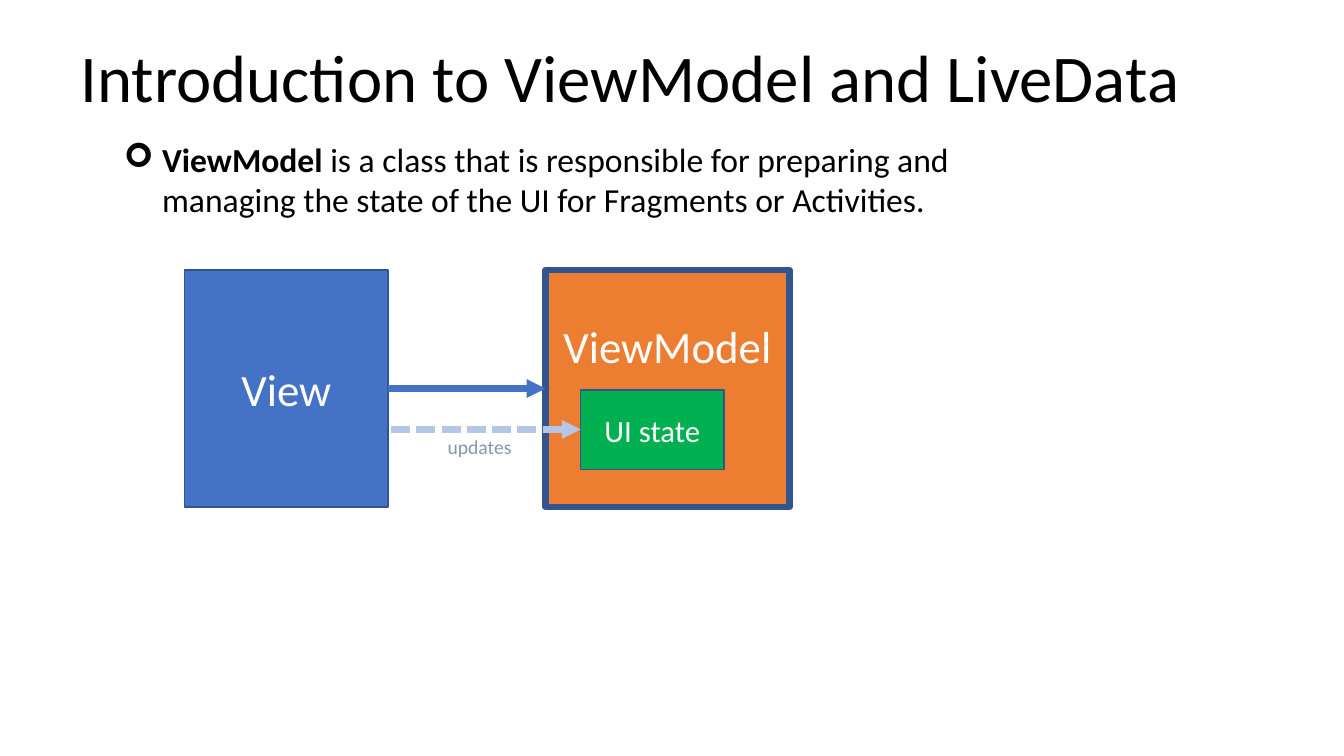
from lxml.etree import SubElement
from pptx import Presentation
from pptx.dml.color import RGBColor
from pptx.enum.dml import MSO_LINE
from pptx.enum.shapes import MSO_CONNECTOR, MSO_SHAPE
from pptx.enum.text import MSO_ANCHOR, PP_ALIGN
from pptx.oxml.ns import qn
from pptx.util import Inches, Pt


def rgb(value):
    return RGBColor.from_string(value)


def add_run(p, text, size, color, bold=False):
    r = p.add_run()
    r.text = text
    for name, value in {"name": "Calibri", "size": Pt(size), "bold": bold}.items():
        setattr(r.font, name, value)
    r.font.color.rgb = rgb(color)


def add_text(s, x, y, w, h, runs, **frame):
    sp = s.shapes.add_textbox(Inches(x), Inches(y), Inches(w), Inches(h))
    for name, value in {"word_wrap": True, **frame}.items():
        setattr(sp.text_frame, name, value)
    p = sp.text_frame.paragraphs[0]
    for run in runs:
        add_run(p, *run)
    return p


def add_box(s, x, y, w, h, text, size, fill, line_width=1, **frame):
    sp = s.shapes.add_shape(MSO_SHAPE.RECTANGLE, Inches(x), Inches(y), Inches(w), Inches(h))
    sp.shadow.inherit = False
    sp.fill.solid()
    sp.fill.fore_color.rgb = rgb(fill)
    sp.line.color.rgb = rgb("325491")
    sp.line.width = Pt(line_width)
    tf = sp.text_frame
    for name, value in {"word_wrap": True, "vertical_anchor": MSO_ANCHOR.MIDDLE, **frame}.items():
        setattr(tf, name, value)
    p = tf.paragraphs[0]
    p.alignment = PP_ALIGN.CENTER
    add_run(p, text, size, "FFFFFF")


def add_arrow(s, x1, x2, y, color, dash=None):
    line = s.shapes.add_connector(MSO_CONNECTOR.STRAIGHT, Inches(x1), Inches(y), Inches(x2), Inches(y))
    line.line.color.rgb = rgb(color)
    line.line.width = Pt(4.5)
    if dash:
        line.line.dash_style = dash
    SubElement(line.line._get_or_add_ln(), qn("a:tailEnd"), type="triangle")
    SubElement(line._element.spPr, qn("a:effectLst"))


def add_title(s, x, y, w, h):
    p = add_text(s, x, y, w, h, [("Introduction to ViewModel and LiveData", 47.7, "000000")],
                 vertical_anchor=MSO_ANCHOR.BOTTOM)
    p.line_spacing = 0.9


def add_definition(s, x, y, w, h):
    p = add_text(s, x, y, w, h, [
        ("ViewModel", 24, "000000", True),
        (" is a class that is responsible for preparing and managing "
         "the state of the UI for Fragments or Activities.", 24, "000000"),
    ])
    # Hanging arrow bullet
    pPr = p._p.get_or_add_pPr()
    pPr.set("marL", str(Inches(0.38)))
    pPr.set("indent", str(-Inches(0.38)))
    SubElement(pPr, qn("a:buFont"), typeface="Wingdings")
    SubElement(pPr, qn("a:buChar"), char="➢")


def add_diagram(s, x, y, w, h):
    view_w, model_w = 2.02, 2.42
    view_right, model_x = x + view_w, x + w - model_w
    state_x, state_y = model_x + 0.35, y + 1.19
    # View and ViewModel; the deep bottom margin lifts the name above the state box
    add_box(s, x, y, view_w, h, "View", 32, "4472C4")
    add_box(s, model_x, y, model_w, h, "ViewModel", 32, "ED7D31", 4.5, margin_bottom=Inches(0.9))
    add_arrow(s, view_right, model_x, y + h / 2, "4472C4")
    # State held by the ViewModel
    add_box(s, state_x, state_y, 1.42, 0.79, "UI state", 22, "00B050")
    add_arrow(s, view_right + 0.03, state_x, state_y + 0.39, "B4C7E7", MSO_LINE.SQUARE_DOT)
    add_text(s, view_right + 0.49, state_y + 0.4, 1.02, 0.34, [("updates", 14, "8497B0")])


def main():
    prs = Presentation()
    prs.slide_width, prs.slide_height = Inches(13.33), Inches(7.5)
    s = prs.slides.add_slide(prs.slide_layouts[6])
    add_title(s, 0.7, 0.61, 11.54, 0.6)
    add_definition(s, 1.13, 1.33, 9.47, 0.91)
    add_diagram(s, 1.83, 2.68, 6, 2.35)
    prs.save("out.pptx")


if __name__ == "__main__":
    main()
